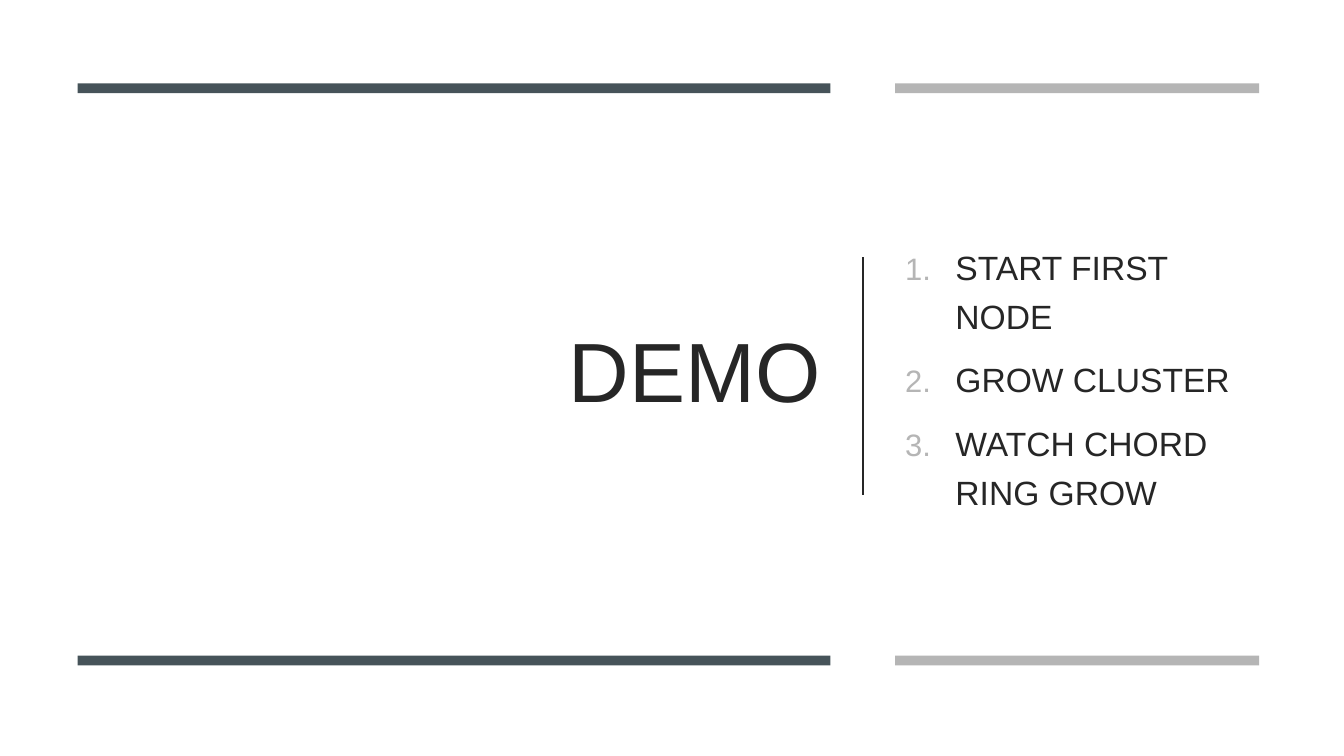
from lxml.etree import SubElement
from pptx import Presentation
from pptx.dml.color import RGBColor
from pptx.enum.shapes import MSO_CONNECTOR, MSO_SHAPE
from pptx.enum.text import MSO_ANCHOR, PP_ALIGN
from pptx.oxml.ns import qn
from pptx.util import Cm, Pt

INK = RGBColor(0x26, 0x26, 0x26)
SLATE = RGBColor(0x46, 0x53, 0x59)
SILVER = RGBColor(0xB5, 0xB5, 0xB5)
WHITE = RGBColor(0xFF, 0xFF, 0xFF)
FONT = "Arial"

TITLE_LEFT, TITLE_WIDTH = Cm(1.96), Cm(18.97)
STEPS_LEFT, STEPS_WIDTH = Cm(22.56), Cm(9.17)
TEXT_TOP, TEXT_HEIGHT = Cm(2.79), Cm(13.34)
STEPS = ["START FIRST NODE", "GROW CLUSTER", "WATCH CHORD RING GROW"]


def add_run(paragraph, text, size):
    run = paragraph.add_run()
    run.text = text
    run.font.name = FONT
    run.font.size = Pt(size)
    run.font.color.rgb = INK


def number_paragraph(paragraph):
    """Give the paragraph a silver automatic number with a hanging indent."""
    properties = paragraph._p.get_or_add_pPr()
    properties.set("marL", str(Cm(1.27)))
    properties.set("indent", str(-Cm(1.27)))
    number_color = SubElement(properties, qn("a:buClr"))
    SubElement(number_color, qn("a:srgbClr"), val=str(SILVER))
    SubElement(properties, qn("a:buSzPct"), val="92000")
    SubElement(properties, qn("a:buFont"), typeface=FONT)
    SubElement(properties, qn("a:buAutoNum"), type="arabicPeriod")


presentation = Presentation()
presentation.slide_width = Cm(33.87)
presentation.slide_height = Cm(19.05)
slide = presentation.slides.add_slide(presentation.slide_layouts[5])
slide.background.fill.solid()
slide.background.fill.fore_color.rgb = WHITE

# Title
title = slide.shapes.title
title.left, title.top = TITLE_LEFT, TEXT_TOP
title.width, title.height = TITLE_WIDTH, TEXT_HEIGHT
title.text_frame.vertical_anchor = MSO_ANCHOR.MIDDLE
heading = title.text_frame.paragraphs[0]
heading.alignment = PP_ALIGN.RIGHT
heading.line_spacing = 0.9
add_run(heading, "DEMO", 60)

# Numbered steps
steps_frame = slide.shapes.add_textbox(
    STEPS_LEFT, TEXT_TOP, STEPS_WIDTH, TEXT_HEIGHT).text_frame
steps_frame.word_wrap = True
steps_frame.vertical_anchor = MSO_ANCHOR.MIDDLE
for index, step in enumerate(STEPS):
    paragraph = steps_frame.add_paragraph() if index else steps_frame.paragraphs[0]
    paragraph.line_spacing = 1.2
    paragraph.space_before = Pt(5)
    paragraph.space_after = Pt(6)
    number_paragraph(paragraph)
    add_run(paragraph, step, 24)

# Bars above and below both columns
for bar_top in (Cm(2.1), Cm(16.52)):
    for left, width, color in ((TITLE_LEFT, TITLE_WIDTH, SLATE),
                               (STEPS_LEFT, STEPS_WIDTH, SILVER)):
        bar = slide.shapes.add_shape(
            MSO_SHAPE.RECTANGLE, left, bar_top, width, Cm(0.25))
        bar.shadow.inherit = False
        bar.fill.solid()
        bar.fill.fore_color.rgb = color
        bar.line.fill.background()

# Divider between title and steps
divider = slide.shapes.add_connector(
    MSO_CONNECTOR.STRAIGHT, Cm(21.74), Cm(12.47), Cm(21.74), Cm(6.48))
divider.line.color.rgb = INK
divider.line.width = Pt(1.5)
SubElement(divider._element.spPr, qn("a:effectLst"))

presentation.save("out.pptx")
